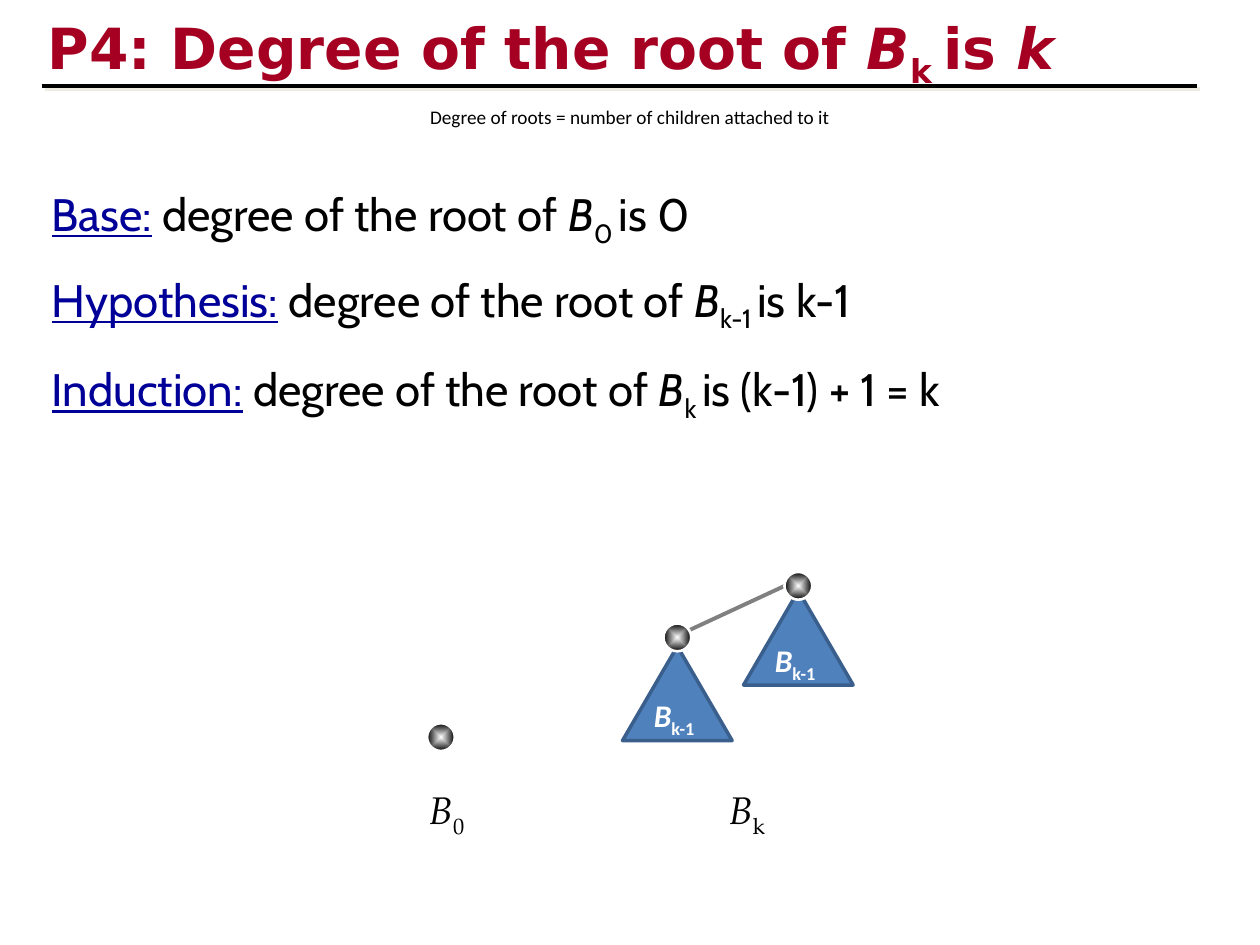
from lxml import etree
from pptx import Presentation
from pptx.dml.color import RGBColor
from pptx.enum.shapes import MSO_CONNECTOR as Connector, MSO_SHAPE as Shape
from pptx.enum.text import MSO_ANCHOR as Anchor, PP_ALIGN as Align
from pptx.oxml import parse_xml
from pptx.oxml.ns import nsdecls, qn
from pptx.util import Cm, Pt

CRIMSON = RGBColor(0xA5, 0x00, 0x21)
NAVY = RGBColor(0x00, 0x00, 0x99)
BLACK = RGBColor(0x00, 0x00, 0x00)
WHITE = RGBColor(0xFF, 0xFF, 0xFF)
GRAY = RGBColor(0x80, 0x80, 0x80)
BLUE = RGBColor(0x4F, 0x81, 0xBD)
DARK_BLUE = RGBColor(0x3A, 0x5F, 0x8C)
CREAM = RGBColor(0xEE, 0xEC, 0xE1)

TITLE = {"size": Pt(32.4), "name": "DejaVu Sans", "bold": True, "color": CRIMSON}
CAPTION = {"size": Pt(11), "name": "Calibri", "color": BLACK}
BODY = {"size": Pt(26), "name": "Cabin", "color": BLACK}
TREE_LABEL = {"size": Pt(18), "name": "Calibri", "bold": True, "color": WHITE}
FIGURE_LABEL = {"size": Pt(22), "name": "TeX Gyre Pagella", "color": BLACK}
TERM = {"color": NAVY, "underline": True}
ITALIC = {"italic": True}
SUBSCRIPT = {"baseline": "-25000"}

BALL_SIZE = 0.56


def shadow_effect():
    return parse_xml(
        f'<a:effectLst {nsdecls("a")}><a:outerShdw dist="35921" dir="2700000" algn="ctr">'
        f'<a:srgbClr val="{CREAM}"/></a:outerShdw></a:effectLst>')


def add_text(page, box, spans, base, align=Align.LEFT, anchor=Anchor.TOP):
    frame = page.shapes.add_textbox(*map(Cm, box)).text_frame
    for key, value in {"word_wrap": True, "vertical_anchor": anchor}.items():
        setattr(frame, key, value)
    para = frame.paragraphs[0]
    para.alignment = align
    for text, style in spans:
        span = para.add_run()
        span.text = text
        for key, value in {**base, **style}.items():
            if key == "color":
                span.font.color.rgb = value
            elif key == "baseline":
                span.font._element.set(key, value)
            else:
                setattr(span.font, key, value)
    return para


def add_line(page, start, end, color, shadow=False):
    line = page.shapes.add_connector(Connector.STRAIGHT, *map(Cm, (*start, *end)))
    line.line.color.rgb = color
    line.line.width = Pt(2.25)
    properties = line._element.spPr
    if shadow:
        properties.append(shadow_effect())
    else:
        etree.SubElement(properties, qn("a:effectLst"))


def add_preset(page, preset, box, fill, outline, width):
    shape = page.shapes.add_shape(preset, *map(Cm, box))
    shape.shadow.inherit = False
    shape.fill.solid()
    shape.fill.fore_color.rgb = fill
    shape.line.color.rgb = outline
    shape.line.width = Pt(width)
    return shape


def add_ball(page, left, top):
    ball = add_preset(page, Shape.OVAL, (left, top, BALL_SIZE, BALL_SIZE), BLACK, WHITE, 1.5)
    properties = ball._element.spPr
    gradient = parse_xml(
        f'<a:gradFill {nsdecls("a")} rotWithShape="1"><a:gsLst>'
        f'<a:gs pos="0"><a:srgbClr val="{WHITE}"/></a:gs>'
        f'<a:gs pos="100000"><a:srgbClr val="{BLACK}"/></a:gs></a:gsLst>'
        '<a:path path="shape"><a:fillToRect l="50000" t="50000" r="50000" b="50000"/></a:path>'
        '</a:gradFill>')
    properties.replace(properties.find(qn("a:solidFill")), gradient)


def add_tree(page, box, ball_rise):
    left, top, width, height = box
    add_preset(page, Shape.ISOSCELES_TRIANGLE, box, BLUE, DARK_BLUE, 2)
    add_text(page, (left + 0.38, top + 0.88, 1.75, 1.02),
             [("B", ITALIC), ("k-1", SUBSCRIPT)], TREE_LABEL)
    add_ball(page, left + (width - BALL_SIZE) / 2, top - ball_rise)


def add_header(page, box):
    left, top, width, height = box
    para = add_text(page, box, [
        ("P4: Degree of the root of ", {}), ("B", ITALIC), ("k ", SUBSCRIPT),
        ("is ", {}), ("k", ITALIC)], TITLE)
    for span in para.runs:
        span.font.fill._xPr.find(qn("a:solidFill")).addnext(shadow_effect())
    rule = top + height
    add_line(page, (left + 0.13, rule), (left + 23.42, rule), BLACK, shadow=True)
    add_text(page, (1.27, rule - 0.97, 22.86, 3.18),
             [("Degree of roots = number of children attached to it", {})],
             CAPTION, Align.CENTER, Anchor.MIDDLE)


def add_proof(page, box):
    left, top, width, height = box
    steps = [(0, "Base:", "0 ", "is 0"),
             (1.73, "Hypothesis:", "k-1 ", "is k-1"),
             (3.53, "Induction:", "k ", "is (k-1) + 1 = k")]
    for offset, term, index, claim in steps:
        add_text(page, (left, top + offset, width, height), [
            (term, TERM), (" degree of the root of ", {}), ("B", ITALIC),
            (index, SUBSCRIPT), (claim, {})], BODY)


def add_figure(page, box):
    left, top, width, height = box
    add_line(page, (left + 5.43, top + 1.2), (left + 7.41, top + 0.28), GRAY)
    add_tree(page, (left + 6.58, top + 0.38, 2.21, 1.9), 0.38)
    add_tree(page, (left + 4.14, top + 1.5, 2.21, 1.9), 0.46)
    add_ball(page, left + 0.2, top + 3.05)
    for offset, index in ((0, "0"), (6.04, "k")):
        add_text(page, (left + offset, top + height - 1.19, 1.45, 1.19),
                 [("B", ITALIC), (index, SUBSCRIPT)], FIGURE_LABEL)


def main():
    deck = Presentation()
    deck.slide_width, deck.slide_height = Cm(25.4), Cm(19.05)
    page = deck.slides.add_slide(deck.slide_layouts[6])
    add_header(page, (0.71, 0.13, 21.59, 1.6))
    add_proof(page, (0.79, 3.63, 21.11, 1.37))
    add_figure(page, (8.41, 11.53, 8.79, 5.38))
    deck.save("out.pptx")


if __name__ == "__main__":
    main()
